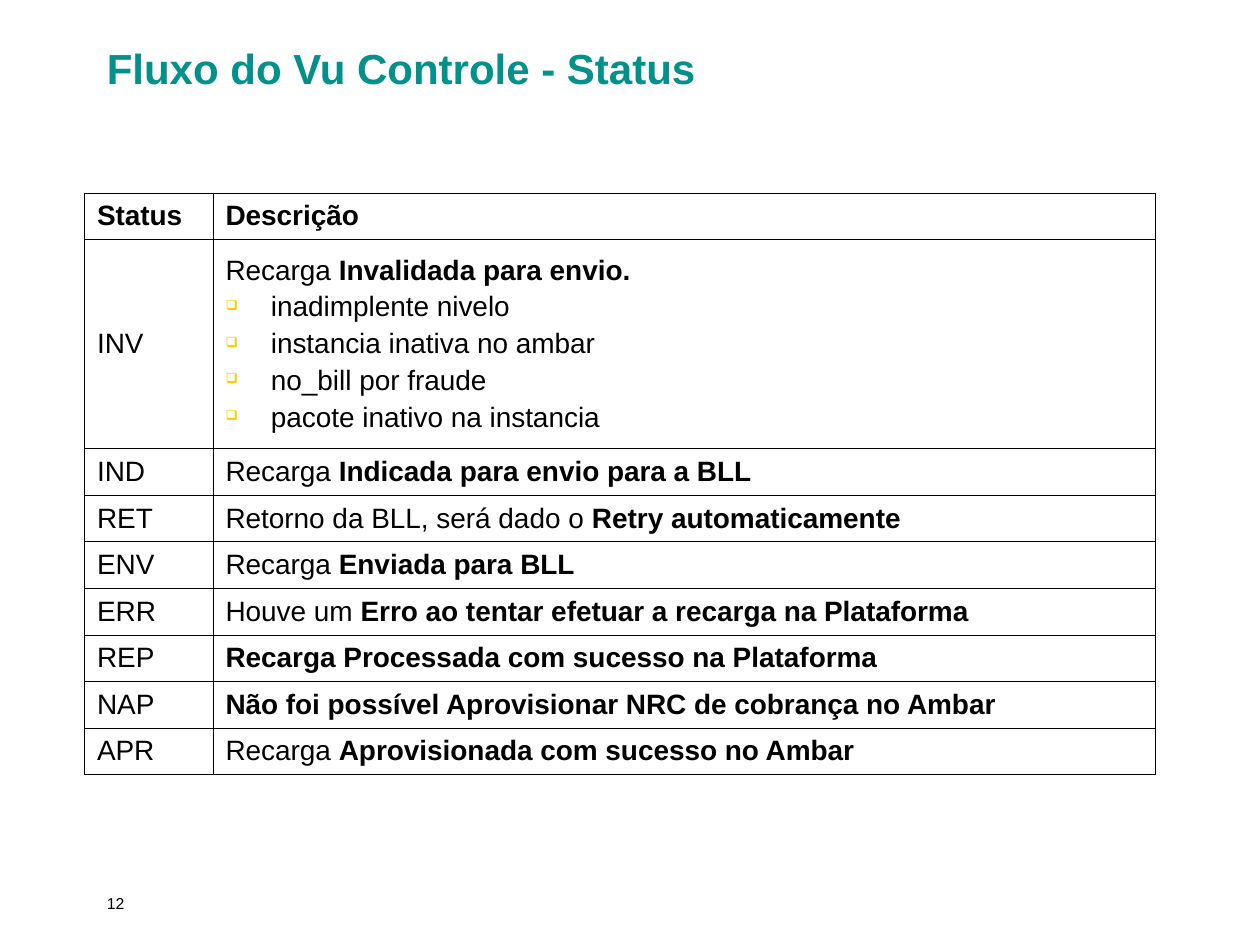
from typing import NamedTuple

from lxml.etree import SubElement
from pptx import Presentation
from pptx.dml.color import RGBColor
from pptx.enum.text import MSO_ANCHOR
from pptx.oxml.ns import qn
from pptx.util import Inches, Pt

BLACK = RGBColor(0x00, 0x00, 0x00)
WHITE = RGBColor(0xFF, 0xFF, 0xFF)
TEAL = RGBColor(0x00, 0x91, 0x8A)
YELLOW = RGBColor(0xFF, 0xCC, 0x00)
FONT = "Arial"
BORDER = Pt(0.34)
BULLET_INDENT = Inches(0.36)


class Status(NamedTuple):
    code: str
    plain: str
    strong: str
    reasons: tuple[str, ...] = ()
    height: float = 0.37


STATUSES = [
    Status("INV", "Recarga ", "Invalidada para envio.",
           ("inadimplente nivelo", "instancia inativa no ambar",
            "no_bill por fraude", "pacote inativo na instancia"), 1.66),
    Status("IND", "Recarga ", "Indicada para envio para a BLL"),
    Status("RET", "Retorno da BLL, será dado o ", "Retry automaticamente"),
    Status("ENV", "Recarga ", "Enviada para BLL"),
    Status("ERR", "Houve um ", "Erro ao tentar efetuar a recarga na Plataforma"),
    Status("REP", "", "Recarga Processada com sucesso na Plataforma"),
    Status("NAP", "", "Não foi possível Aprovisionar NRC de cobrança no Ambar"),
    Status("APR", "Recarga ", "Aprovisionada com sucesso no Ambar"),
]


def add_run(p, text: str, *, size: float = 16, bold: bool = False,
            color: RGBColor = BLACK) -> None:
    r = p.add_run()
    r.text = text
    r.font.name = FONT
    r.font.size = Pt(size)
    r.font.bold = bold
    r.font.color.rgb = color


def add_textbox(slide, left: float, top: float, width: float, height: float,
                text: str, *, anchor=MSO_ANCHOR.TOP, spacing: float = 1.0,
                **style) -> None:
    box = slide.shapes.add_textbox(Inches(left), Inches(top),
                                   Inches(width), Inches(height))
    tf = box.text_frame
    tf.word_wrap = True
    tf.vertical_anchor = anchor
    p = tf.paragraphs[0]
    p.line_spacing = spacing
    add_run(p, text, **style)


def add_bullet(tf, text: str) -> None:
    p = tf.add_paragraph()
    p.space_before = Pt(3.2)
    add_run(p, text)
    pPr = p._p.get_or_add_pPr()
    pPr.set("marL", str(BULLET_INDENT))
    pPr.set("indent", str(-BULLET_INDENT))
    color = SubElement(pPr, qn("a:buClr"))
    SubElement(color, qn("a:srgbClr"), val=str(YELLOW))
    SubElement(pPr, qn("a:buSzPct"), val="50000")
    SubElement(pPr, qn("a:buChar"), char="❑")


def format_cell(cell) -> None:
    """Give the cell thin borders on all sides, a white fill and middle anchor."""
    cell.vertical_anchor = MSO_ANCHOR.MIDDLE
    tcPr = cell._tc.get_or_add_tcPr()
    for side in ("lnL", "lnR", "lnT", "lnB"):
        ln = SubElement(tcPr, qn(f"a:{side}"), w=str(BORDER))
        fill = SubElement(ln, qn("a:solidFill"))
        SubElement(fill, qn("a:srgbClr"), val=str(BLACK))
    cell.fill.solid()
    cell.fill.fore_color.rgb = WHITE


def add_status_table(slide) -> None:
    table = slide.shapes.add_table(len(STATUSES) + 1, 2, Inches(0.67), Inches(1.53),
                                   Inches(8.5), Inches(4.62)).table
    for column, width in zip(table.columns, (1.02, 7.48)):
        column.width = Inches(width)
    for cell in table.iter_cells():
        format_cell(cell)

    table.rows[0].height = Inches(0.37)
    for col, heading in enumerate(("Status", "Descrição")):
        add_run(table.cell(0, col).text_frame.paragraphs[0], heading, bold=True)

    for row, status in enumerate(STATUSES, start=1):
        table.rows[row].height = Inches(status.height)
        add_run(table.cell(row, 0).text_frame.paragraphs[0], status.code)
        tf = table.cell(row, 1).text_frame
        if status.plain:
            add_run(tf.paragraphs[0], status.plain)
        add_run(tf.paragraphs[0], status.strong, bold=True)
        for reason in status.reasons:
            add_bullet(tf, reason)


def main() -> None:
    prs = Presentation()
    prs.slide_width, prs.slide_height = Inches(10), Inches(7.5)
    slide = prs.slides.add_slide(prs.slide_layouts[6])
    add_textbox(slide, 0.75, 7, 2.08, 0.5, "12", size=9, spacing=1.3)
    add_textbox(slide, 0.75, 0.08, 8, 0.92, "Fluxo do Vu Controle - Status",
                anchor=MSO_ANCHOR.MIDDLE, size=24, bold=True, color=TEAL)
    add_status_table(slide)
    prs.save("out.pptx")


if __name__ == "__main__":
    main()
